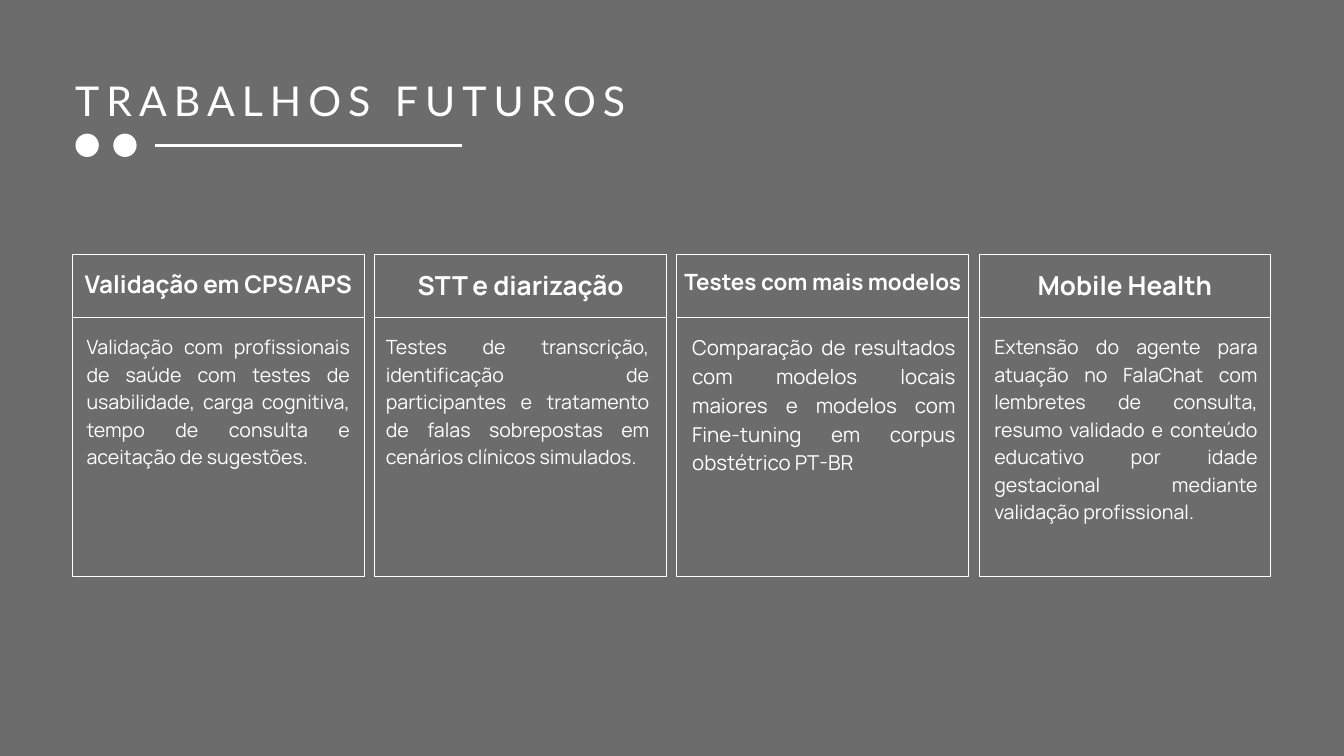
from lxml import etree
from pptx import Presentation
from pptx.dml.color import RGBColor
from pptx.enum import shapes, text
from pptx.oxml.ns import qn
from pptx.util import Pt

GREY, WHITE = "6C6C6C", "FFFFFF"
CARD_LEFT, CARD_TOP, CARD_W, CARD_H = 77.7, 272, 312.8, 345
CARD_PITCH = 323.7
HEADING_TOP, DIVIDER_Y, BODY_TOP, BODY_W = 283, 340, 355, 282.2

# heading, heading size, body, body size, body inset
CARDS = [
    ("Validação em CPS/APS", 26,
     "Validação com profissionais de saúde com testes de usabilidade, carga "
     "cognitiva, tempo de consulta e aceitação de sugestões.", 21, 15),
    ("STT e diarização", 28,
     "Testes de transcrição, identificação de participantes e tratamento de "
     "falas sobrepostas em cenários clínicos simulados.", 21, 12),
    ("Testes com mais modelos", 24,
     "Comparação de resultados com modelos locais maiores e modelos com "
     "Fine-tuning em corpus obstétrico PT-BR", 22, 16.5),
    ("Mobile Health", 28,
     "Extensão do agente para atuação no FalaChat com lembretes de consulta, "
     "resumo validado e conteúdo educativo por idade gestacional mediante "
     "validação profissional.", 21, 16.5),
]


def color(value):
    return RGBColor.from_string(value)


def add_line(s, x1, x2, y, width):
    line = s.shapes.add_connector(
        shapes.MSO_CONNECTOR.STRAIGHT, Pt(x1), Pt(y), Pt(x2), Pt(y))
    line.line.color.rgb = color(WHITE)
    line.line.width = Pt(width)
    etree.SubElement(line._element.spPr, qn("a:effectLst"))


def add_dot(s, x, y, size):
    sp = s.shapes.add_shape(
        shapes.MSO_SHAPE.OVAL, Pt(x), Pt(y), Pt(size), Pt(size))
    sp.shadow.inherit = False
    sp.fill.solid()
    sp.fill.fore_color.rgb = color(WHITE)
    sp.line.fill.background()


def add_frame(s, x, y, w, h):
    sp = s.shapes.add_shape(
        shapes.MSO_SHAPE.RECTANGLE, Pt(x), Pt(y), Pt(w), Pt(h))
    sp.shadow.inherit = False
    sp.fill.background()
    sp.line.color.rgb = color(WHITE)
    sp.line.width = Pt(0.75)


def add_text(s, box, content, size, leading, align, font="Manrope",
             bold=False, tracking=0):
    """Add one paragraph; leading and tracking are in points."""
    tf = s.shapes.add_textbox(*map(Pt, box)).text_frame
    tf.word_wrap = True
    tf.margin_left = tf.margin_right = tf.margin_top = tf.margin_bottom = 0
    tf.text = content
    p = tf.paragraphs[0]
    p.alignment = align
    p.line_spacing = Pt(leading)
    r = p.runs[0]
    r.font.name = font
    r.font.size = Pt(size)
    r.font.bold = bold
    r.font.color.rgb = color(WHITE)
    if tracking:
        r._r.get_or_add_rPr().set("spc", str(int(tracking * 100)))


def add_title(s):
    add_text(s, (80.6, 85.7, 640, 48), "TRABALHOS FUTUROS", 44, 47.5,
             text.PP_ALIGN.JUSTIFY, font="Lato", tracking=7.5)
    for x in (80.9, 121.4):
        add_dot(s, x, 143.2, 25)
    add_line(s, 165.6, 495.4, 155.6, 3)


def add_card(s, x, heading, heading_size, body, body_size, inset):
    add_frame(s, x, CARD_TOP, CARD_W, CARD_H)
    add_line(s, x, x + CARD_W, DIVIDER_Y, 0.75)
    add_text(s, (x, HEADING_TOP, CARD_W, 39), heading, heading_size,
             heading_size * 1.4, text.PP_ALIGN.CENTER, bold=True)
    add_text(s, (x + inset, BODY_TOP, BODY_W, 205), body, body_size,
             body_size * 1.4, text.PP_ALIGN.JUSTIFY)


def main():
    prs = Presentation()
    prs.slide_width, prs.slide_height = Pt(1440), Pt(810)
    s = prs.slides.add_slide(prs.slide_layouts[6])
    s.background.fill.solid()
    s.background.fill.fore_color.rgb = color(GREY)
    add_title(s)
    for i, card in enumerate(CARDS):
        add_card(s, CARD_LEFT + i * CARD_PITCH, *card)
    prs.save("out.pptx")


if __name__ == "__main__":
    main()
